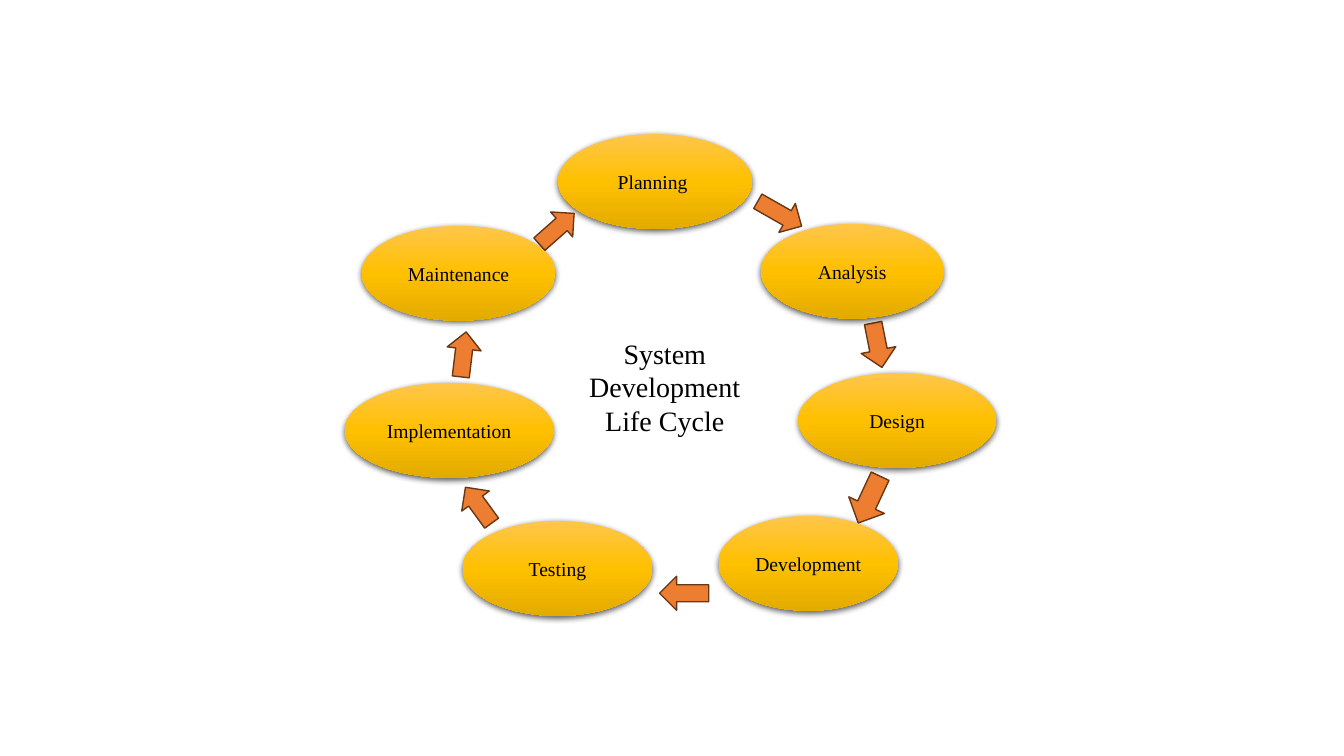
"""Build a slide with the seven-stage system development life cycle."""
from pptx import Presentation
from pptx.dml.color import RGBColor
from pptx.enum.shapes import MSO_SHAPE as Preset
from pptx.enum.text import MSO_ANCHOR as Anchor, PP_ALIGN as Align
from pptx.oxml import parse_xml
from pptx.oxml.ns import nsdecls
from pptx.util import Cm, Pt


def color(hex_value):
    return RGBColor.from_string(hex_value)


def add_ellipse(slide, box, lines, size):
    shape = slide.shapes.add_shape(Preset.OVAL, *map(Cm, box))
    shape.shadow.inherit = False
    shape.fill.background()
    shape.line.fill.background()
    frame = shape.text_frame
    frame.word_wrap = True
    frame.vertical_anchor = Anchor.MIDDLE
    for index, line in enumerate(lines):
        paragraph = frame.add_paragraph() if index else frame.paragraphs[0]
        paragraph.alignment = Align.CENTER
        run = paragraph.add_run()
        run.text = line
        run.font.name = "Times New Roman"
        run.font.size = Pt(size)
        run.font.color.rgb = color("000000")
    return shape


STAGE_HEIGHT = 2.39
GOLD_STOPS = [(0, "FFC64B"), (50, "FFC000"), (100, "E3AB00")]
STAGES = [
    ("Planning ", (14.07, 3.38, 4.88), (19.23, 4.75, 0.84, 1.27), 299.6),
    ("Analysis", (19.18, 5.64, 4.6), (21.67, 8.13, 0.89, 1.14), 348.8),
    ("Design", (20.12, 9.4, 4.98), (21.41, 11.94, 0.99, 1.3), 25.1),
    ("Development", (18.11, 13, 4.52), (16.81, 14.33, 0.86, 1.24), 90),
    ("Testing", (11.66, 13.13, 4.78), (11.63, 12.17, 0.86, 1.12), 143.9),
    ("Implementation", (8.69, 9.65, 5.26), (11.25, 8.36, 0.86, 1.14), 186.8),
    ("Maintenance", (9.12, 5.69, 4.88), (13.61, 5.18, 0.84, 1.17), 228.5),
]

presentation = Presentation()
presentation.slide_width = Cm(33.87)
presentation.slide_height = Cm(19.05)
slide = presentation.slides.add_slide(presentation.slide_layouts[6])

add_ellipse(slide, (12.78, 5.89, 7.95, 7.7), ["System", "Development", "Life Cycle"], 20)

stops = "".join(
    f'<a:gs pos="{percent * 1000}"><a:srgbClr val="{value}"/></a:gs>'
    for percent, value in GOLD_STOPS
)
gradient = (
    f'<a:gradFill {nsdecls("a")} rotWithShape="1"><a:gsLst>{stops}</a:gsLst>'
    '<a:lin ang="5400000" scaled="0"/></a:gradFill>'
)
shadow = (
    f'<a:outerShdw {nsdecls("a")} blurRad="{Pt(4.5)}" dist="{Pt(1.5)}" dir="5400000"'
    ' algn="ctr" rotWithShape="0"><a:srgbClr val="000000">'
    '<a:alpha val="63000"/></a:srgbClr></a:outerShdw>'
)

for label, (left, top, width), arrow_box, rotation in STAGES:
    arrow = slide.shapes.add_shape(Preset.DOWN_ARROW, *map(Cm, arrow_box))
    arrow.rotation = rotation
    arrow.shadow.inherit = False
    arrow.fill.solid()
    arrow.fill.fore_color.rgb = color("ED7D31")
    arrow.line.color.rgb = color("683715")
    arrow.line.width = Pt(1)

    stage = add_ellipse(slide, (left, top, width, STAGE_HEIGHT), [label], 14)
    properties = stage._element.spPr
    no_fill = properties.find("{*}noFill")
    properties.replace(no_fill, parse_xml(gradient))
    properties.find("{*}effectLst").append(parse_xml(shadow))

presentation.save("out.pptx")
